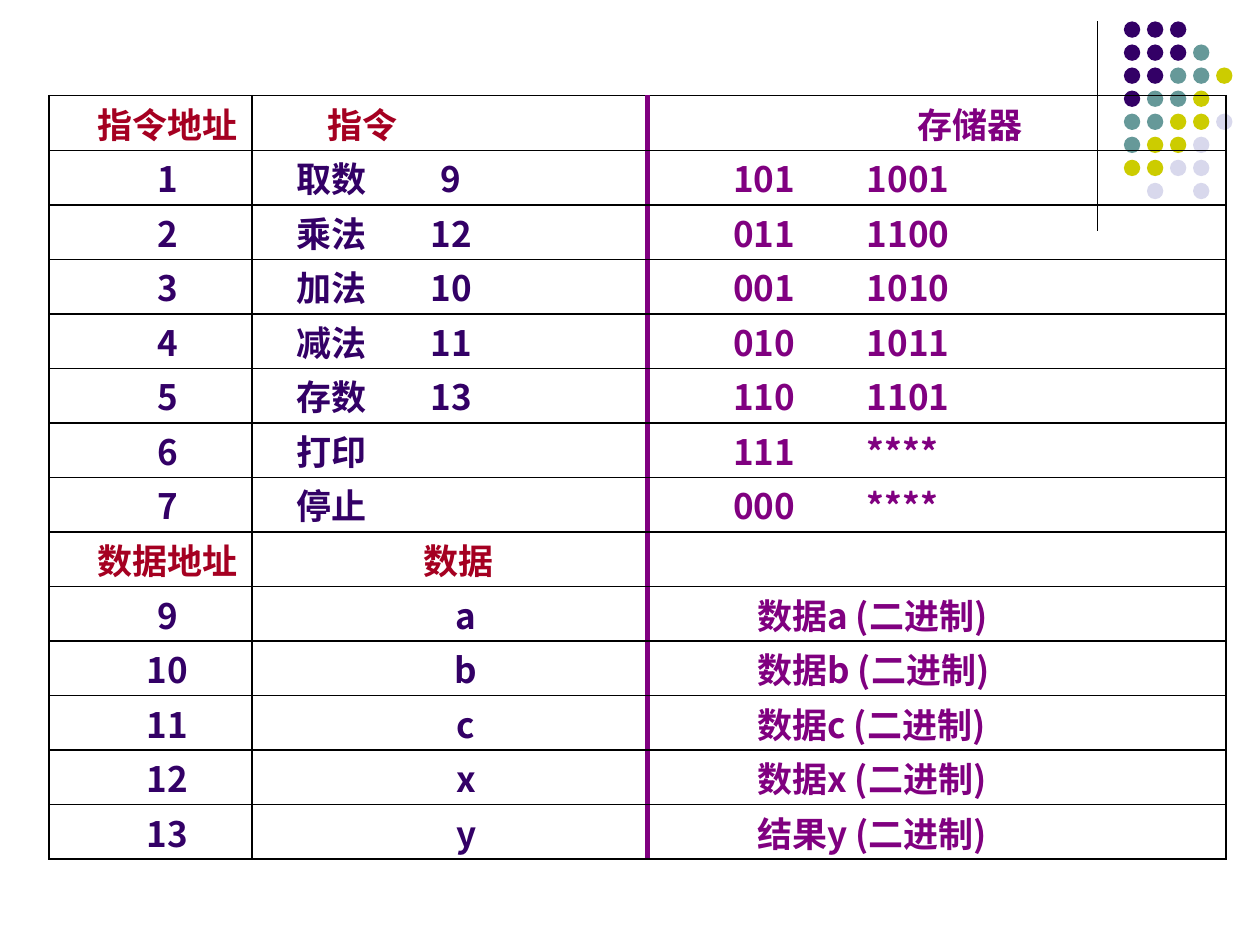
from lxml import etree
from pptx import Presentation
from pptx import util as u
from pptx.dml.color import RGBColor
from pptx.enum import shapes, text
from pptx.oxml.ns import qn

FONT = "Noto Sans CJK SC"
BLACK = RGBColor(0x00, 0x00, 0x00)
INDIGO = RGBColor(0x33, 0x00, 0x66)
RED = RGBColor(0xA5, 0x00, 0x21)
PURPLE = RGBColor(0x80, 0x00, 0x80)
TEAL = RGBColor(0x66, 0x99, 0x99)
YELLOW = RGBColor(0xCC, 0xCC, 0x00)
LILAC = RGBColor(0xD8, 0xD8, 0xEC)

DOT_COLORS = {"I": INDIGO, "T": TEAL, "Y": YELLOW, "L": LILAC}
DOT_ROWS = ["III", "IIIT", "IITTY", "ITTY", "TTYYL", "TYYL", "YYLL", " L L"]

COLUMN_WIDTHS = [1.61, 3.14, 4.59]
TABLE_HEIGHT = 6.06
INSTRUCTIONS = [
    ("取数", "9", "101", "1001"),
    ("乘法", "12", "011", "1100"),
    ("加法", "10", "001", "1010"),
    ("减法", "11", "010", "1011"),
    ("存数", "13", "110", "1101"),
    ("打印", "", "111", "****"),
    ("停止", "", "000", "****"),
]
DATA = [("a", "数据"), ("b", "数据"), ("c", "数据"), ("x", "数据"), ("y", "结果")]


def add_rule(page, x, top, bottom):
    """Thin vertical line beside the dots."""
    rule = page.shapes.add_connector(
        shapes.MSO_CONNECTOR.STRAIGHT,
        u.Inches(x), u.Inches(top), u.Inches(x), u.Inches(bottom))
    rule.line.color.rgb = BLACK
    rule.line.width = u.Pt(0.75)
    etree.SubElement(rule._element.spPr, qn("a:effectLst"))


def add_dots(page, left, top, pitch=0.183, size=0.13):
    for row, marks in enumerate(DOT_ROWS):
        for column, mark in enumerate(marks):
            if mark == " ":
                continue
            dot = page.shapes.add_shape(
                shapes.MSO_SHAPE.OVAL,
                u.Inches(left + column * pitch), u.Inches(top + row * pitch),
                u.Inches(size), u.Inches(size))
            dot.shadow.inherit = False
            dot.fill.solid()
            dot.fill.fore_color.rgb = DOT_COLORS[mark]
            dot.line.fill.background()


def set_borders(cell, column):
    """Black grid, with a thick purple line before the memory column."""
    thick_sides = {1: "lnR", 2: "lnL"}
    properties = cell._tc.get_or_add_tcPr()
    for side in ("lnL", "lnR", "lnT", "lnB"):
        thick = thick_sides.get(column) == side
        line = etree.SubElement(properties, qn(f"a:{side}"),
                                w=str(u.Pt(3 if thick else 1)))
        fill = etree.SubElement(line, qn("a:solidFill"))
        etree.SubElement(fill, qn("a:srgbClr"), val=str(PURPLE if thick else BLACK))


def add_tab_stop(para, position, align):
    stops = etree.SubElement(para._p.get_or_add_pPr(), qn("a:tabLst"))
    etree.SubElement(stops, qn("a:tab"), pos=str(u.Inches(position)), algn=align)


def write_cell(cell, words, color, indent, centered=False, tab=None):
    cell.margin_left = u.Inches(indent)
    para = cell.text_frame.paragraphs[0]
    para.text = words
    para.alignment = text.PP_ALIGN.CENTER if centered else text.PP_ALIGN.LEFT
    if tab:
        add_tab_stop(para, *tab)
    para.font.size = u.Pt(20)
    para.font.bold = True
    para.font.color.rgb = color
    para.font.name = FONT
    etree.SubElement(para._p.pPr.get_or_add_defRPr(), qn("a:ea"), typeface=FONT)


def add_grid(page, left, top):
    """Empty table with transparent cells."""
    row_count = len(INSTRUCTIONS) + len(DATA) + 2
    table = page.shapes.add_table(
        row_count, len(COLUMN_WIDTHS), u.Inches(left), u.Inches(top),
        u.Inches(sum(COLUMN_WIDTHS)), u.Inches(TABLE_HEIGHT)).table
    table.first_row = table.horz_banding = False
    for column, width in zip(table.columns, COLUMN_WIDTHS):
        column.width = u.Inches(width)
    for row in table.rows:
        row.height = u.Inches(TABLE_HEIGHT / row_count)
        for column, cell in enumerate(row.cells):
            set_borders(cell, column)
            cell.fill.background()
            cell.vertical_anchor = text.MSO_ANCHOR.MIDDLE
            cell.margin_top = cell.margin_bottom = cell.margin_right = 0
    return table


def fill_table(table):
    # Section headings
    data_row = len(INSTRUCTIONS) + 1
    write_cell(table.cell(0, 1), "指令", RED, 0.6)
    write_cell(table.cell(0, 2), "存储器", PURPLE, 0.53, centered=True)
    write_cell(table.cell(data_row, 1), "数据", RED, 0.14, centered=True)

    # Address column
    for row in range(len(table.rows)):
        heading = {0: "指令地址", data_row: "数据地址"}.get(row)
        write_cell(table.cell(row, 0), heading or str(row),
                   RED if heading else INDIGO, 0.27, centered=True)

    # Instructions and their binary codes
    for row, (name, operand, code, address) in enumerate(INSTRUCTIONS, 1):
        words = f"{name}\t{operand}" if operand else name
        write_cell(table.cell(row, 1), words, INDIGO, 0.35, tab=(1.23, "ctr"))
        write_cell(table.cell(row, 2), f"{code}\t{address}", PURPLE, 0.68,
                   tab=(1.06, "l"))

    # Data and results
    for row, (name, kind) in enumerate(DATA, data_row + 1):
        write_cell(table.cell(row, 1), name, INDIGO, 0.26, centered=True)
        write_cell(table.cell(row, 2), f"{kind}{name} (二进制)", PURPLE, 0.87)


def main():
    deck = Presentation()
    deck.slide_width, deck.slide_height = u.Inches(10), u.Inches(7.5)
    page = deck.slides.add_slide(deck.slide_layouts[6])
    add_rule(page, 8.71, 0.17, 1.83)
    add_dots(page, 8.92, 0.17)
    fill_table(add_grid(page, 0.39, 0.76))
    deck.save("out.pptx")


if __name__ == "__main__":
    main()
